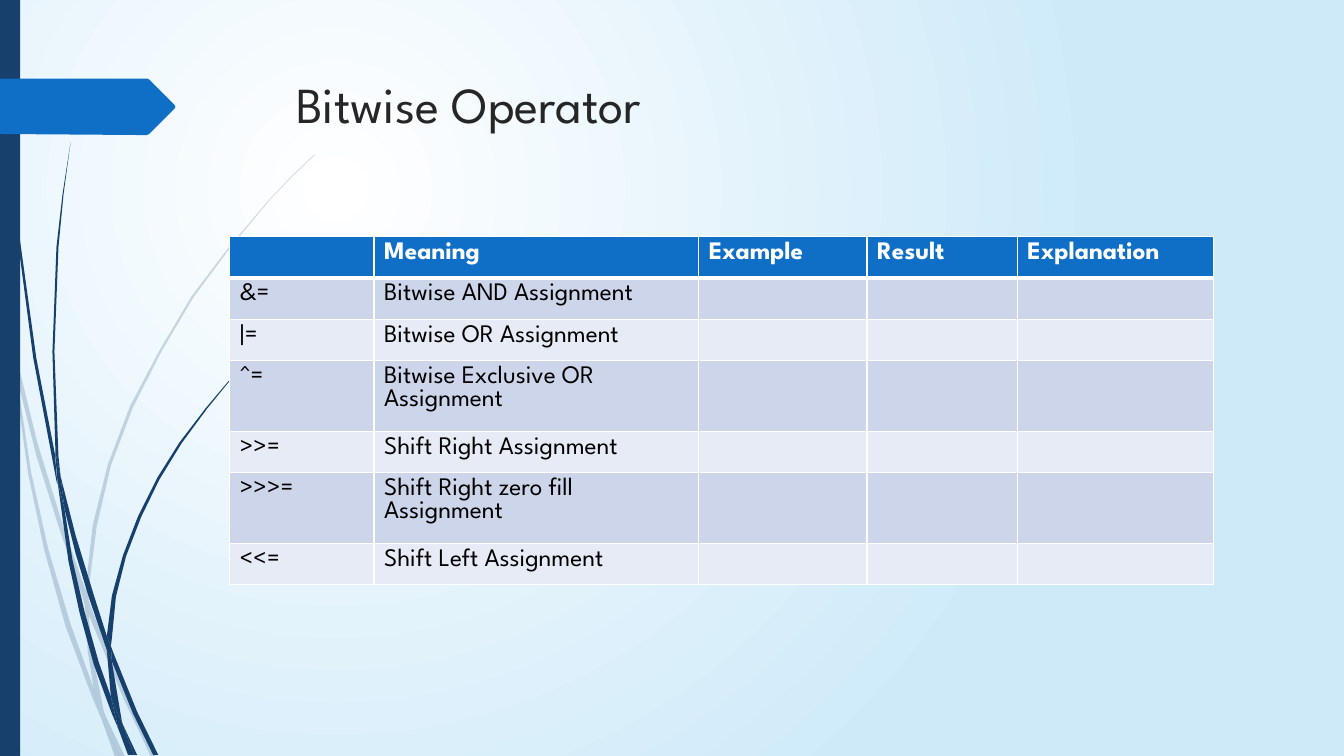
from lxml.etree import SubElement
from pptx import Presentation
from pptx.dml.color import RGBColor as Color
from pptx.enum.shapes import MSO_SHAPE as Shape
from pptx.oxml.ns import qn
from pptx.util import Inches, Pt

# Content
FONT = "League Spartan"
COLORS = {
    "navy": "17406D", "blue": "0F6FC6", "ink": "262626", "black": "000000",
    "white": "FFFFFF", "sky": "CEEAF9", "odd_row": "CCD5EA", "even_row": "E7EBF5",
}
TITLE = "Bitwise Operator"
ROWS = [
    ("", "Meaning", "Example", "Result", "Explanation"),
    ("&=", "Bitwise AND Assignment"),
    ("|=", "Bitwise OR Assignment"),
    ("^=", "Bitwise Exclusive OR Assignment"),
    (">>=", "Shift Right Assignment"),
    (">>>=", "Shift Right zero fill Assignment"),
    ("<<=", "Shift Left Assignment"),
]
COLUMN_WIDTHS = (1.43, 3.22, 1.67, 1.49, 1.95)
ROW_HEIGHT = 0.41
TITLE_FORMAT = {"name": FONT, "size": Pt(36)}
HEADER_FORMAT = {"name": FONT, "size": Pt(18), "bold": True}
BODY_FORMAT = {"name": FONT, "size": Pt(18), "bold": False}

# Outlines of the grass blades, in inches
PALE_BLADES = [
    [(0.11, 3.5), (0.09, 3.22), (0, 2.82), (0, 2.99), (0.1, 3.44)],
    [(0.58, 5.22), (0.84, 5.99), (0.85, 5.86), (0.62, 5.2), (0.37, 4.39),
     (0.14, 3.45), (0.17, 3.76), (0.36, 4.52)],
    [(0.92, 6.07), (0.88, 5.96), (0.88, 6.1), (1.23, 6.94), (1.5, 7.51),
     (1.55, 7.51), (1.27, 6.92)],
    [(1.19, 7.51), (1.24, 7.51), (1.05, 7.11)],
    [(0.93, 6.83), (0.7, 6.19), (0.48, 5.45), (0.31, 4.69), (0.17, 3.76),
     (0.11, 3.5), (0.28, 4.7), (0.44, 5.46), (0.65, 6.21), (0.92, 6.93),
     (1.01, 7.14), (0.99, 7.07)],
    [(0.84, 5.99), (0.87, 6.46), (0.93, 6.83), (0.96, 6.92), (1.05, 7.11),
     (1.03, 7.06), (0.91, 6.46), (0.88, 6.1), (0.88, 6.08)],
    [(0.88, 5.84), (0.96, 5.22), (1.1, 4.62), (1.32, 4.04), (1.6, 3.49),
     (1.92, 2.95), (2.29, 2.45), (2.68, 1.98), (2.9, 1.75), (3.12, 1.54),
     (3.12, 1.53), (2.89, 1.75), (2.68, 1.97), (2.28, 2.44), (1.9, 2.94),
     (1.58, 3.48), (1.29, 4.03), (1.07, 4.61), (0.92, 5.21), (0.85, 5.84),
     (0.85, 5.86), (0.88, 5.96)],
    [(1.01, 7.14), (1.14, 7.51), (1.19, 7.51)],
    [(0.88, 6.08), (0.88, 6.1), (0.88, 5.96), (0.85, 5.86), (0.84, 5.99)],
    [(0.96, 6.92), (0.93, 6.83), (0.99, 7.07), (1.01, 7.14), (1.19, 7.51),
     (1.05, 7.11)],
]
DARK_BLADES = [
    [(0.07, 1.1), (0.17, 2.33), (0.33, 3.55), (0.56, 4.77), (0.57, 4.81),
     (0.55, 4.57), (0.55, 4.53), (0.36, 3.55), (0.19, 2.32), (0.08, 1.09),
     (0.05, 0.48), (0.04, 0), (0.03, 0), (0.04, 0.48)],
    [(0.88, 5.92), (1.06, 6.45), (1.06, 6.31), (0.93, 5.9), (0.75, 5.31),
     (0.6, 4.72), (0.64, 5.05), (0.75, 5.49)],
    [(1.13, 6.49), (1.1, 6.41), (1.11, 6.56), (1.32, 7.08), (1.52, 7.49),
     (1.57, 7.49), (1.36, 7.06)],
    [(1.1, 6.91), (0.98, 6.57), (0.84, 6.07), (0.72, 5.56), (0.64, 5.05),
     (0.57, 4.77), (0.68, 5.57), (0.79, 6.08), (0.93, 6.59), (1.11, 7.08),
     (1.17, 7.22), (1.16, 7.17)],
    [(0.6, 4.72), (0.58, 4.53), (0.54, 3.49), (0.58, 2.45), (0.63, 1.93),
     (0.7, 1.41), (0.62, 1.93), (0.56, 2.45), (0.52, 3.49), (0.55, 4.49)],
    [(1.33, 7.49), (1.36, 7.49), (1.22, 7.19)],
    [(0.57, 4.77), (0.64, 5.05), (0.6, 4.72), (0.55, 4.49), (0.55, 4.53)],
    [(1.11, 6.33), (1.15, 5.92), (1.25, 5.52), (1.4, 5.13), (1.58, 4.76),
     (1.8, 4.4), (2.05, 4.06), (2.31, 3.74), (2.45, 3.59), (2.61, 3.44),
     (2.6, 3.44), (2.45, 3.58), (2.31, 3.73), (2.04, 4.05), (1.78, 4.39),
     (1.56, 4.74), (1.37, 5.12), (1.22, 5.51), (1.11, 5.91), (1.06, 6.31),
     (1.1, 6.41)],
    [(1.17, 7.22), (1.27, 7.49), (1.31, 7.49)],
    [(1.06, 6.45), (1.1, 6.91), (1.16, 7.06), (1.22, 7.19), (1.21, 7.16),
     (1.11, 6.56), (1.09, 6.51)],
    [(1.06, 6.45), (1.09, 6.51), (1.11, 6.56), (1.1, 6.41), (1.06, 6.31)],
    [(1.16, 7.06), (1.1, 6.91), (1.16, 7.17), (1.17, 7.22), (1.3, 7.49),
     (1.33, 7.49), (1.22, 7.19)],
]
TAG = [(1.73, 1.08), (1.48, 1.33), (1.46, 1.34), (1.36, 1.34), (0, 1.33),
       (0, 0.78), (1.46, 0.78), (1.48, 0.79), (1.73, 1.04), (1.74, 1.06)]


def color(name):
    return Color.from_string(COLORS[name])


def paint(shape, name):
    shape.shadow.inherit = False
    shape.fill.solid()
    shape.fill.fore_color.rgb = color(name)
    shape.line.fill.background()


def draw_outline(shapes, points, name, opacity=100):
    corners = [(Inches(x), Inches(y)) for x, y in points]
    builder = shapes.build_freeform(*corners[0])
    builder.add_line_segments(corners[1:], close=True)
    shape = builder.convert_to_shape()
    paint(shape, name)
    if opacity < 100:
        tone = shape._element.spPr.find(qn("a:solidFill"))[0]
        SubElement(tone, qn("a:alpha"), val=str(opacity * 1000))


def write(frame, text, formats, name):
    span = frame.paragraphs[0].add_run()
    span.text = text
    for key, value in formats.items():
        setattr(span.font, key, value)
    span.font.color.rgb = color(name)


def add_borders(cell, widths):
    properties = cell._tc.get_or_add_tcPr()
    for side, width in widths.items():
        line = SubElement(properties, qn(f"a:ln{side}"), w=str(Pt(width)))
        fill = SubElement(line, qn("a:solidFill"))
        SubElement(fill, qn("a:srgbClr"), val=COLORS["white"])


deck = Presentation()
deck.slide_width, deck.slide_height = Inches(13.33), Inches(7.5)
page = deck.slides.add_slide(deck.slide_layouts[6])

# Radial background
backdrop = page.background.fill
backdrop.gradient()
for stop, name in zip(backdrop.gradient_stops, ("white", "sky")):
    stop.color.rgb = color(name)
gradient = page._element.find(".//" + qn("a:gradFill"))
gradient.remove(gradient.find(qn("a:lin")))
circle = SubElement(gradient, qn("a:path"), path="circle")
SubElement(circle, qn("a:fillToRect"), l="50000", t="50000", r="100000", b="100000")

# Grass, side bar and tag
for blades, opacity in ((PALE_BLADES, 20), (DARK_BLADES, 100)):
    grass = page.shapes.add_group_shape()
    for blade in blades:
        draw_outline(grass.shapes, blade, "navy", opacity)
bar = page.shapes.add_shape(Shape.RECTANGLE, 0, 0, Inches(0.2), deck.slide_height)
paint(bar, "navy")
draw_outline(page.shapes, TAG, "blue")

# Title
box = page.shapes.add_textbox(Inches(2.84), Inches(0.68), Inches(9.75), Inches(1.4))
box.text_frame.word_wrap = True
write(box.text_frame, TITLE, TITLE_FORMAT, "ink")

# Operator table
table = page.shapes.add_table(
    len(ROWS), len(COLUMN_WIDTHS), Inches(2.28), Inches(2.35),
    Inches(sum(COLUMN_WIDTHS)), Inches(ROW_HEIGHT * len(ROWS))).table
for column, width in zip(table.columns, COLUMN_WIDTHS):
    column.width = Inches(width)
for r, texts in enumerate(ROWS):
    header = r == 0
    fill_name = "blue" if header else "odd_row" if r % 2 else "even_row"
    for c in range(len(COLUMN_WIDTHS)):
        cell = table.cell(r, c)
        add_borders(cell, {"L": 1, "R": 1, "T": 3 if r == 1 else 1, "B": 3 if header else 1})
        cell.fill.solid()
        cell.fill.fore_color.rgb = color(fill_name)
        if c < len(texts) and texts[c]:
            write(cell.text_frame, texts[c], HEADER_FORMAT if header else BODY_FORMAT,
                  "white" if header else "black")

deck.save("out.pptx")
